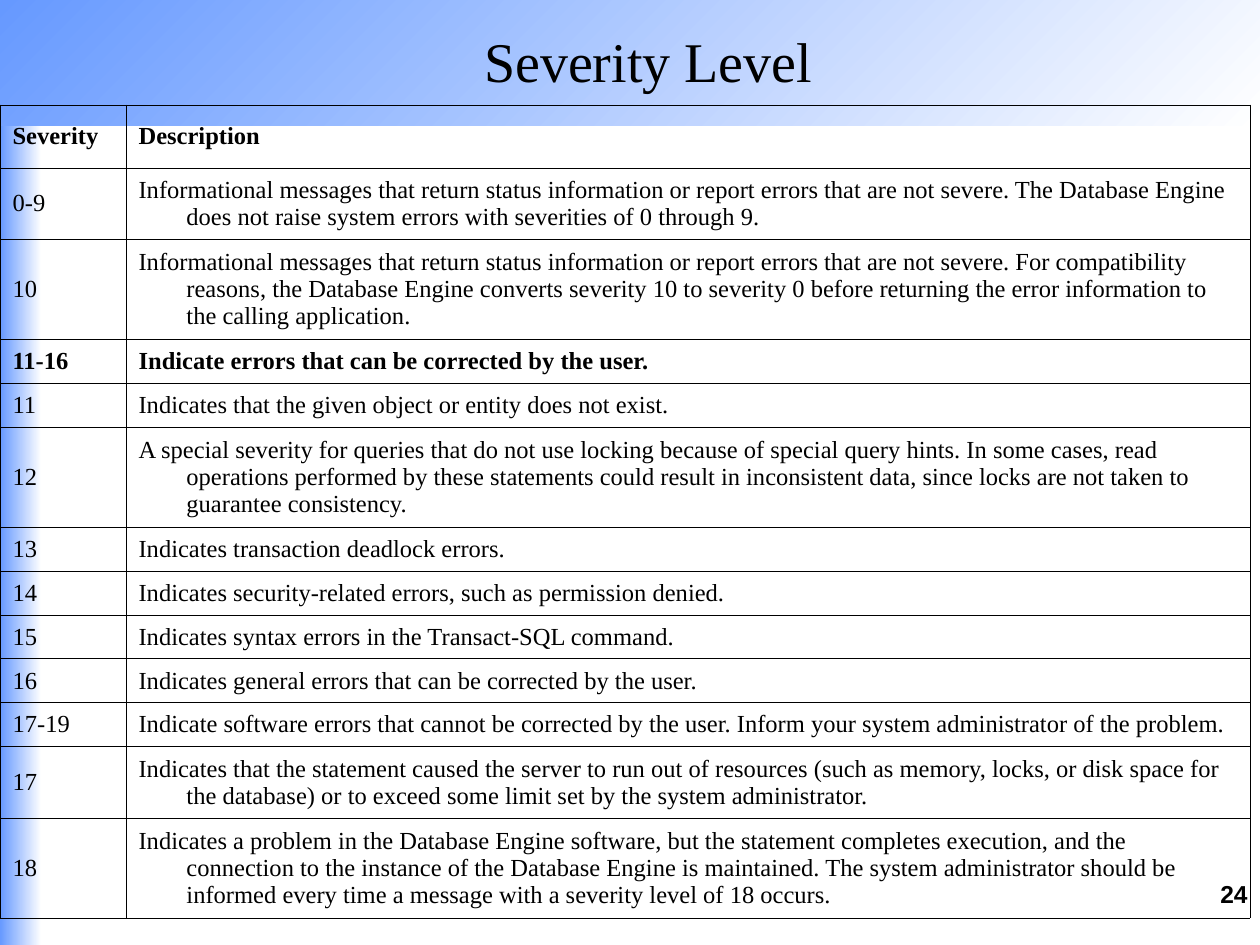
from pptx import Presentation
from pptx.dml.color import RGBColor
from pptx.enum.shapes import MSO_SHAPE
from pptx.enum.text import MSO_ANCHOR, PP_ALIGN
from pptx.oxml import parse_xml
from pptx.oxml.ns import nsdecls
from pptx.util import Inches, Pt

SERIF = "Times New Roman"
BLACK = "000000"
HEADER_HEIGHT = 6.67
HEIGHT_BY_LINES = {1: 4.65, 2: 7.56, 3: 10.58}
HANGING_INDENT = Inches(0.38)

severity_rows = [
    ("Severity", "Description", HEADER_HEIGHT, True),
    ("0-9", "Informational messages that return status information or report errors that are not severe. "
     "The Database Engine does not raise system errors with severities of 0 through 9.", HEIGHT_BY_LINES[2], False),
    ("10", "Informational messages that return status information or report errors that are not severe. "
     "For compatibility reasons, the Database Engine converts severity 10 to severity 0 before returning "
     "the error information to the calling application.", HEIGHT_BY_LINES[3], False),
    ("11-16", "Indicate errors that can be corrected by the user.", HEIGHT_BY_LINES[1], True),
    ("11", "Indicates that the given object or entity does not exist.", HEIGHT_BY_LINES[1], False),
    ("12", "A special severity for queries that do not use locking because of special query hints. "
     "In some cases, read operations performed by these statements could result in inconsistent data, "
     "since locks are not taken to guarantee consistency.", HEIGHT_BY_LINES[3], False),
    ("13", "Indicates transaction deadlock errors.", HEIGHT_BY_LINES[1], False),
    ("14", "Indicates security-related errors, such as permission denied.", HEIGHT_BY_LINES[1], False),
    ("15", "Indicates syntax errors in the Transact-SQL command.", HEIGHT_BY_LINES[1], False),
    ("16", "Indicates general errors that can be corrected by the user.", HEIGHT_BY_LINES[1], False),
    ("17-19", "Indicate software errors that cannot be corrected by the user. "
     "Inform your system administrator of the problem.", HEIGHT_BY_LINES[1], False),
    ("17", "Indicates that the statement caused the server to run out of resources (such as memory, locks, "
     "or disk space for the database) or to exceed some limit set by the system administrator.",
     HEIGHT_BY_LINES[2], False),
    ("18", "Indicates a problem in the Database Engine software, but the statement completes execution, "
     "and the connection to the instance of the Database Engine is maintained. The system administrator "
     "should be informed every time a message with a severity level of 18 occurs.", HEIGHT_BY_LINES[3], False),
]


def color(hex_string):
    return RGBColor.from_string(hex_string)


def write(paragraph, text, font_name, size, bold):
    paragraph.text = text
    paragraph.font.name = font_name
    paragraph.font.size = Pt(size)
    paragraph.font.bold = bold
    paragraph.font.color.rgb = color(BLACK)


presentation = Presentation()
presentation.slide_width = Inches(10)
presentation.slide_height = Inches(7.5)
column = presentation.slide_width / 100
row = presentation.slide_height / 100
slide = presentation.slides.add_slide(presentation.slide_layouts[6])

for band_columns, band_rows, angle in [(3.3, 100, 0), (100, 13.33, 315)]:
    band = slide.shapes.add_shape(
        MSO_SHAPE.RECTANGLE, 0, 0, int(band_columns * column), int(band_rows * row))
    band.shadow.inherit = False
    band.line.fill.background()
    band.fill.gradient()
    band.fill.gradient_angle = angle
    for stop, position, stop_color in zip(band.fill.gradient_stops, (0, 1), ("6699FF", "FFFFFF")):
        stop.position = position
        stop.color.rgb = color(stop_color)

table_height = sum(height for _, _, height, _ in severity_rows)
table = slide.shapes.add_table(
    len(severity_rows), 2, 0, int(11.1 * row), int(99.2 * column), int(table_height * row)).table
table.first_row = False
table.horz_banding = False
table.columns[0].width = int(10 * column)
table.columns[1].width = int(89.2 * column)

for table_row, (severity, description, height, bold) in zip(table.rows, severity_rows):
    table_row.height = int(height * row)
    for cell, text in zip(table_row.cells, (severity, description)):
        cell.vertical_anchor = MSO_ANCHOR.MIDDLE
        paragraph = cell.text_frame.paragraphs[0]
        write(paragraph, text, SERIF, 14, bold)
        paragraph_properties = paragraph._p.get_or_add_pPr()
        paragraph_properties.set("marL", str(HANGING_INDENT))
        paragraph_properties.set("indent", str(-HANGING_INDENT))
        cell_properties = cell._tc.get_or_add_tcPr()
        for side in ("lnL", "lnR", "lnT", "lnB"):
            cell_properties.append(parse_xml(
                f'<a:{side} {nsdecls("a")} w="{Pt(0.45)}"><a:solidFill>'
                f'<a:srgbClr val="{BLACK}"/></a:solidFill></a:{side}>'))
        cell.fill.background()

for text, left, top, width, height, alignment, font_name, size, bold in [
    ("24", 71.7, 92.4, 28.3, 6.93, PP_ALIGN.RIGHT, "Arial", 14, True),
    ("Severity Level", 11.2, 2.13, 80.5, 8.53, PP_ALIGN.CENTER, SERIF, 32, False),
]:
    text_box = slide.shapes.add_textbox(
        int(left * column), int(top * row), int(width * column), int(height * row))
    text_box.text_frame.word_wrap = True
    paragraph = text_box.text_frame.paragraphs[0]
    paragraph.alignment = alignment
    write(paragraph, text, font_name, size, bold)

presentation.save("out.pptx")
